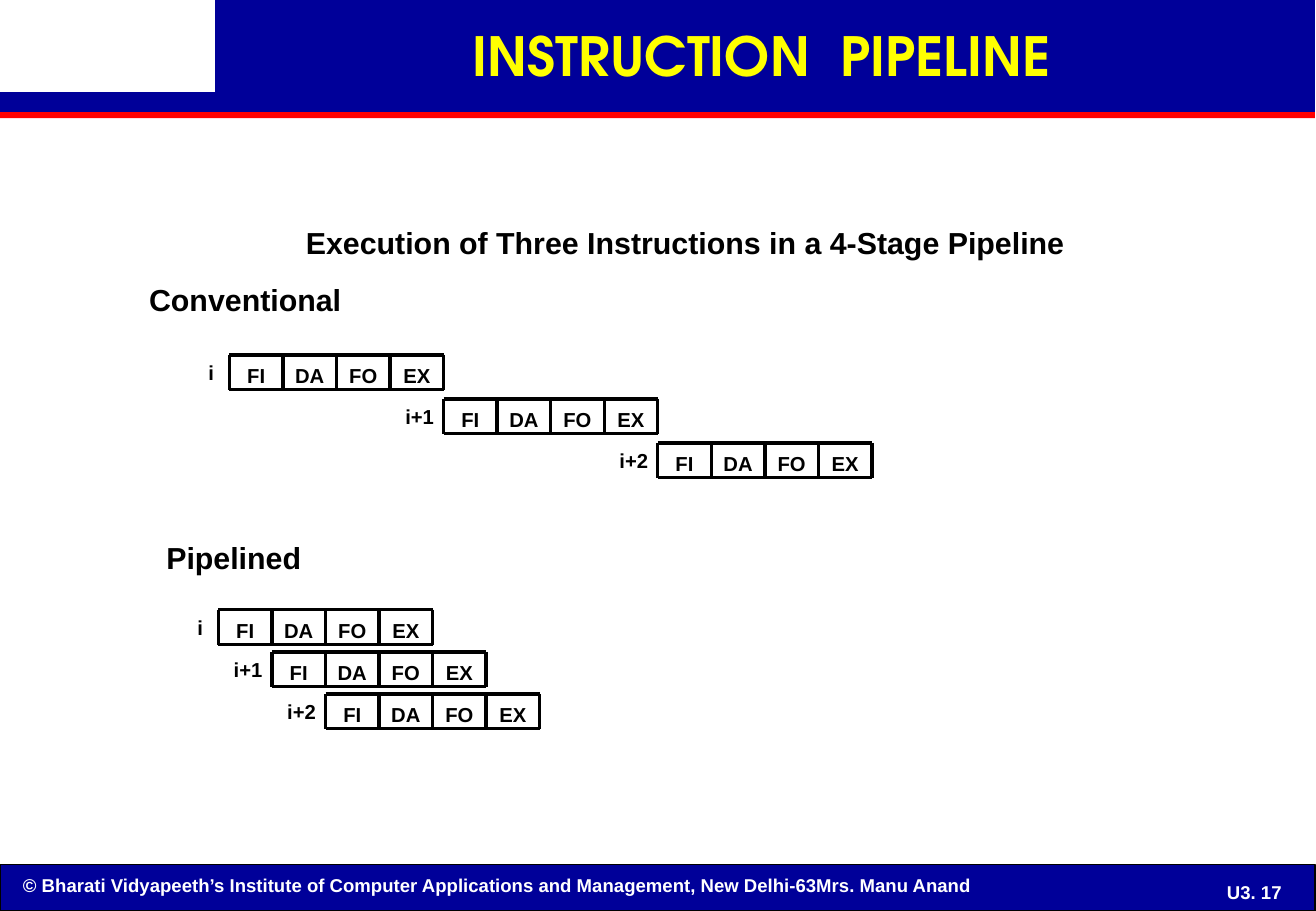
from lxml import etree
from pptx import Presentation
from pptx.dml.color import RGBColor
from pptx.enum.shapes import MSO_CONNECTOR, MSO_SHAPE
from pptx.enum.text import MSO_ANCHOR, PP_ALIGN
from pptx.util import Cm, Pt

RECT, LINE = MSO_SHAPE.RECTANGLE, MSO_CONNECTOR.STRAIGHT
TOP, MID = MSO_ANCHOR.TOP, MSO_ANCHOR.MIDDLE
LEFT, CENTER = PP_ALIGN.LEFT, PP_ALIGN.CENTER
NAVY, RED, YELLOW, WHITE, BLACK = "000099", "FF0000", "FFFF00", "FFFFFF", "000000"
NS = "http://schemas.openxmlformats.org/drawingml/2006/main"

# Content: lengths in cm
TITLE = "INSTRUCTION  PIPELINE"
FOOTER = ("© Bharati Vidyapeeth’s Institute of Computer Applications and "
          "Management, New Delhi-63Mrs. Manu Anand")
PAGE = "U3. 17"
BARS = [  # left, top, width, height, fill, outline
    (0, 18.08, 27.51, 0.97, NAVY, BLACK),
    (0, 2.34, 27.51, 0.13, RED, None),
    (4.5, 0, 23.01, 1.93, NAVY, None),
    (0, 1.93, 27.51, 0.41, NAVY, None),
]
HEADS = [  # text, left, top, width, height, side inset, top inset
    ("Execution of Three Instructions in a 4-Stage Pipeline",
     6.22, 4.7, 16.41, 1.52, 0.18, 0.08),
    ("Conventional", 2.87, 5.84, 4.55, 0.94, 0.25, 0.13),
    ("Pipelined", 3.23, 11.23, 3.33, 0.94, 0.25, 0.13),
]
STAGES = ["FI", "DA", "FO", "EX"]
ROWS = [("i", 0.64, 0.69), ("i+1", 1.12, 1.05), ("i+2", 1.12, 1.05)]  # text, width, offset
CELL, HIGH = 1.12, 0.73
CHARTS = [  # left, top, step right, step down
    (4.8, 7.42, CELL * len(STAGES), 0.92),
    (4.57, 12.75, CELL, 0.88),
]

deck = Presentation()
deck.slide_width, deck.slide_height = Cm(27.53), Cm(19.05)
slide = deck.slides.add_slide(deck.slide_layouts[6])
shapes = slide.shapes


def color(code):
    return RGBColor.from_string(code)


def bar(x, y, w, h, fill, edge):
    box = shapes.add_shape(RECT, Cm(x), Cm(y), Cm(w), Cm(h))
    box.shadow.inherit = False
    box.fill.solid()
    box.fill.fore_color.rgb = color(fill)
    if edge:
        box.line.color.rgb = color(edge)
        box.line.width = Pt(0.75)
    else:
        box.line.fill.background()


def text(words, x, y, w, h, size, ink=BLACK, align=LEFT, anchor=TOP,
         side=0.25, edge=0.13, wrap=False, space=0.9, face="Arial"):
    frame = shapes.add_textbox(Cm(x), Cm(y), Cm(w), Cm(h)).text_frame
    frame.text = words
    frame.word_wrap = wrap
    frame.vertical_anchor = anchor
    frame.margin_left = frame.margin_right = Cm(side)
    frame.margin_top = frame.margin_bottom = Cm(edge)
    para = frame.paragraphs[0]
    para.alignment = align
    para.line_spacing = space
    font = para.runs[0].font
    font.name, font.size, font.bold = face, Pt(size), True
    font.color.rgb = color(ink)


def rule(x1, y1, x2, y2):
    line = shapes.add_connector(LINE, Cm(x1), Cm(y1), Cm(x2), Cm(y2))
    line.line.color.rgb = color(BLACK)
    line.line.width = Pt(2)
    etree.SubElement(line._element.spPr, f"{{{NS}}}effectLst")


def strip(x, y):
    end = x + CELL * len(STAGES)
    for level in (y, y + HIGH):
        rule(x, level, end, level)
    for n in range(len(STAGES) + 1):
        rule(x + n * CELL, y, x + n * CELL, y + HIGH)
    for n, stage in enumerate(STAGES):
        text(stage, x + n * CELL, y + 0.1, CELL, 0.71, 12, align=CENTER)


# Frame of the slide
for item in BARS:
    bar(*item)
text(FOOTER, 0.23, 18.14, 25.27, 0.74, 11, WHITE, wrap=True, space=1.0)
text(PAGE, 25.02, 18.26, 2.44, 0.79, 11, WHITE, CENTER, MID, wrap=True, space=1.0)
text(TITLE, 4.45, 0, 22.99, 2.29, 32, YELLOW, CENTER, MID, 0.18, 0.08,
     True, 1.0, "TeX Gyre Adventor")

# Headings
for words, x, y, w, h, side, edge in HEADS:
    text(words, x, y, w, h, 18, side=side, edge=edge)

# Timing strips, one per instruction
for x, y, right, down in CHARTS:
    for k, (name, wide, back) in enumerate(ROWS):
        left, top = x + k * right, y + k * down
        text(name, left - back, top + 0.05, wide, 0.71, 12)
        strip(left, top)

deck.save("out.pptx")
